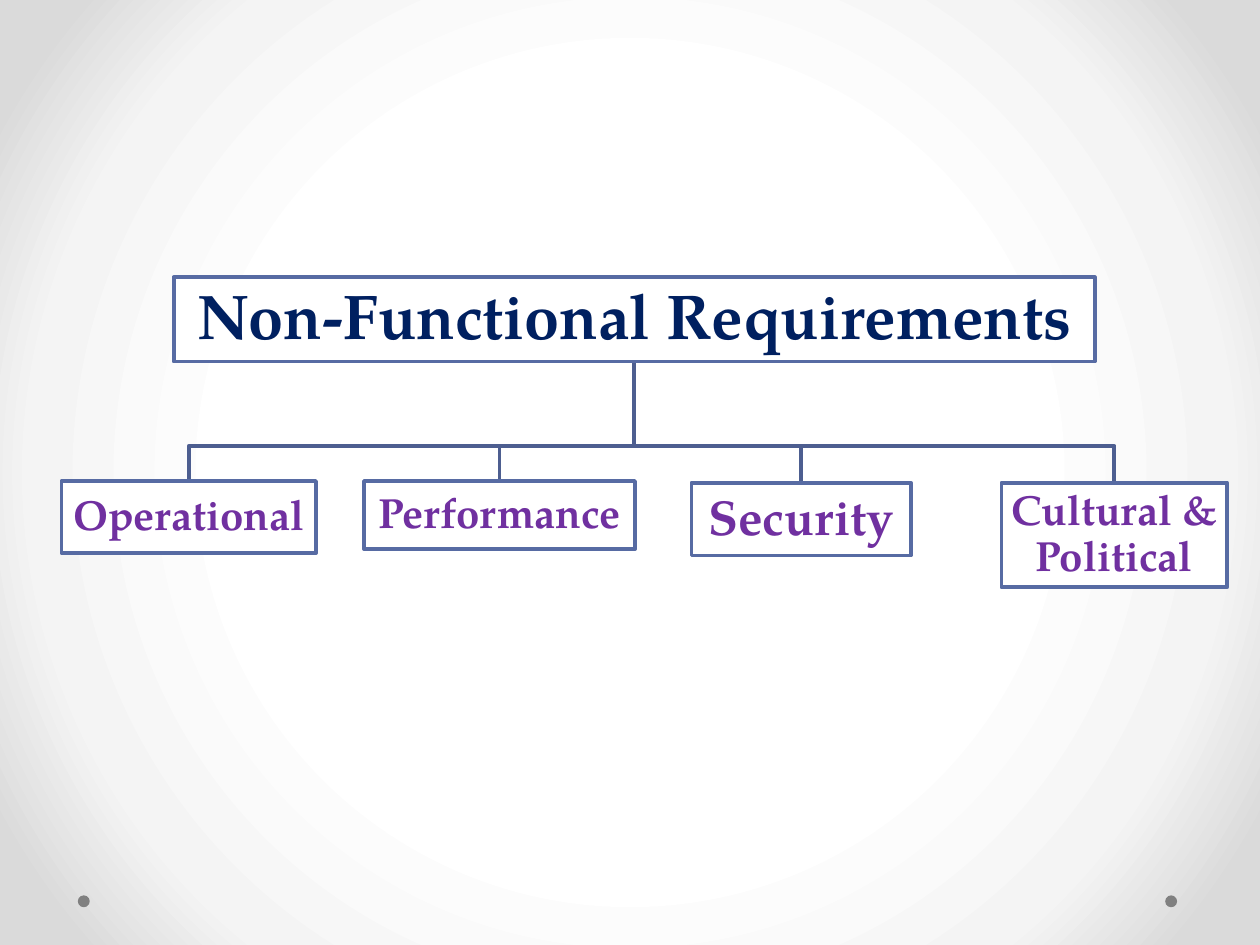
from pptx import Presentation, oxml, util as u
from pptx.dml import color
from pptx.enum import shapes, text
from pptx.oxml import ns

WHITE = color.RGBColor(0xFF, 0xFF, 0xFF)
GREY = color.RGBColor(0x80, 0x80, 0x80)
NAVY = color.RGBColor(0x00, 0x20, 0x60)
PURPLE = color.RGBColor(0x70, 0x30, 0xA0)
BORDER = color.RGBColor(0x57, 0x6B, 0xA3)
BRANCH = color.RGBColor(0x4D, 0x5E, 0x90)
FONT = "TeX Gyre Pagella"
LINE_WIDTH = u.Pt(2.25)
BACKGROUND_STOPS = ((50, "FFFFFF"), (76, "F4F4F4"), (92, "DADADA"))
BEND_Y = 8.99
ROOT = ("Non-Functional Requirements", 3.5, 5.59, 18.57, 1.7, 36, NAVY)
CHILDREN = (
    ("Operational", 1.24, 9.7, 5.13, 1.45, 24, PURPLE),
    ("Performance", 7.34, 9.7, 5.46, 1.37, 24, PURPLE),
    ("Security", 13.94, 9.73, 4.42, 1.47, 28, PURPLE),
    ("Cultural & Political", 20.19, 9.73, 4.55, 2.11, 24, PURPLE),
)


def apply(target, values):
    """Set each named attribute of the target."""
    for name, value in values.items():
        setattr(target, name, value)


def paint_background(page):
    """Give the page a circular gradient."""
    stops = "".join(
        f'<a:gs pos="{place * 1000}"><a:srgbClr val="{tone}"/></a:gs>'
        for place, tone in BACKGROUND_STOPS
    )
    page.element.cSld.insert(0, oxml.parse_xml(
        f'<p:bg {ns.nsdecls("p", "a")}><p:bgPr><a:gradFill rotWithShape="1">'
        f'<a:gsLst>{stops}</a:gsLst><a:path path="circle">'
        '<a:fillToRect l="50000" t="50000" r="50000" b="50000"/></a:path>'
        '</a:gradFill><a:effectLst/></p:bgPr></p:bg>'
    ))


def add_dot(page, left):
    """Draw a small grey dot near the bottom edge."""
    dot = page.shapes.add_shape(
        shapes.MSO_SHAPE.OVAL, u.Cm(left), u.Cm(18.05), u.Cm(0.24), u.Cm(0.24))
    dot.shadow.inherit = False
    dot.fill.solid()
    dot.fill.fore_color.rgb = GREY
    dot.line.fill.background()


def add_branch(page, parent, child):
    """Draw the bent line from the parent box to the child box."""
    start_x, start_y = parent[1] + parent[3] / 2, parent[2] + parent[4]
    end_x, end_y = child[1] + child[3] / 2, child[2]
    builder = page.shapes.build_freeform(u.Cm(start_x), u.Cm(start_y))
    corners = ((start_x, BEND_Y), (end_x, BEND_Y), (end_x, end_y))
    builder.add_line_segments(
        [(u.Cm(x), u.Cm(y)) for x, y in corners], close=False)
    branch = builder.convert_to_shape()
    branch.shadow.inherit = False
    branch.fill.background()
    branch.line.color.rgb = BRANCH
    branch.line.width = LINE_WIDTH


def add_box(page, label, left, top, width, height, size, tone):
    """Draw a bordered box with a centred bold label."""
    box = page.shapes.add_shape(
        shapes.MSO_SHAPE.RECTANGLE,
        u.Cm(left), u.Cm(top), u.Cm(width), u.Cm(height))
    box.shadow.inherit = False
    box.fill.solid()
    box.fill.fore_color.rgb = WHITE
    box.line.color.rgb = BORDER
    box.line.width = LINE_WIDTH
    frame = box.text_frame
    inset = u.Cm(0.05)
    apply(frame, {
        "word_wrap": True, "vertical_anchor": text.MSO_ANCHOR.MIDDLE,
        "margin_left": inset, "margin_right": inset,
        "margin_top": inset, "margin_bottom": inset,
    })
    para = frame.paragraphs[0]
    apply(para, {"alignment": text.PP_ALIGN.CENTER, "line_spacing": 0.9})
    span = para.add_run()
    span.text = label
    apply(span.font, {"name": FONT, "size": u.Pt(size), "bold": True})
    span.font.color.rgb = tone


def main():
    """Build the requirements hierarchy slide."""
    deck = Presentation()
    apply(deck, {"slide_width": u.Cm(25.4), "slide_height": u.Cm(19.05)})
    page = deck.slides.add_slide(deck.slide_layouts[6])
    paint_background(page)
    for left in (23.49, 1.57):
        add_dot(page, left)
    for child in CHILDREN:
        add_branch(page, ROOT, child)
    for box in (ROOT, *CHILDREN):
        add_box(page, *box)
    deck.save("out.pptx")


main()
